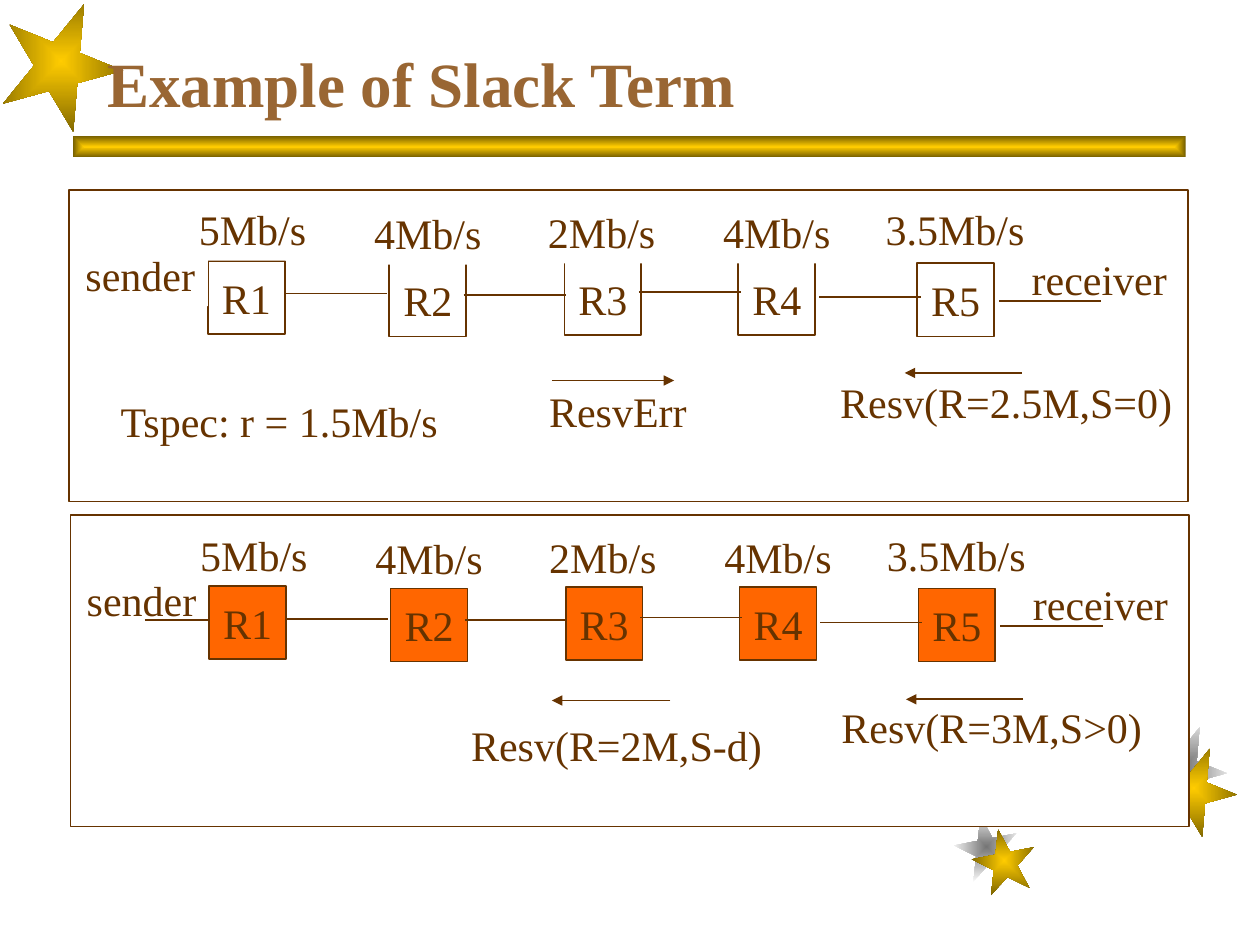
from dataclasses import dataclass
from typing import Optional

from lxml.etree import SubElement
from pptx import Presentation
from pptx.dml.color import RGBColor
from pptx.enum.shapes import MSO_CONNECTOR, MSO_SHAPE
from pptx.enum.text import MSO_ANCHOR, MSO_AUTO_SIZE, PP_ALIGN
from pptx.oxml.ns import qn
from pptx.util import Inches, Pt

FONT = "Times New Roman"
BROWN = "663300"
TITLE_BROWN = "996633"
WHITE = "FFFFFF"
ORANGE = "FF6600"
GOLD = ("FFCC00", "755E00")
SILVER = ("757575", "FFFFFF")
PANEL_SHIFT = (0.01, 2.58)


@dataclass
class Star:
    left: float
    top: float
    size: float
    rotation: float
    colors: tuple[str, str]


@dataclass
class Label:
    text: str
    left: float
    top: float
    width: float


@dataclass
class Line:
    start_x: float
    end_x: float
    y: float
    arrow: bool = False


@dataclass
class Router:
    name: str
    left: float
    top: float


@dataclass
class Panel:
    shift: tuple[float, float]
    router_fill: str
    label_fill: Optional[str]
    messages: list[Label]
    arrows: list[Line]


STARS = [
    Star(7.58, 6.47, 0.5, 349, SILVER),
    Star(9.06, 5.75, 0.67, 22, SILVER),
    Star(7.72, 6.58, 0.5, 349, GOLD),
    Star(9.14, 5.92, 0.67, 22, GOLD),
    Star(0, 0, 0.97, 22, GOLD),
]
# Positions shared by both panels, measured in the upper one
ROUTERS = [
    Router("R1", 1.65, 2.07),
    Router("R2", 3.09, 2.09),
    Router("R3", 4.48, 2.08),
    Router("R4", 5.86, 2.08),
    Router("R5", 7.28, 2.09),
]
LINKS = [
    Line(2.26, 3.07, 2.33),
    Line(3.68, 4.49, 2.34),
    Line(5.07, 5.88, 2.32),
    Line(6.5, 7.31, 2.36),
    Line(1.14, 1.66, 2.34),
]
RECEIVER_LINK = Line(7.93, 8.74, 2.39)
HOSTS = [Label("sender", 0.58, 1.93, 1.07), Label("receiver", 8.09, 1.96, 1.27)]
RATES = [
    Label("3.5Mb/s", 6.93, 1.57, 1.3),
    Label("4Mb/s", 5.64, 1.59, 1.05),
    Label("2Mb/s", 4.25, 1.59, 1.05),
    Label("4Mb/s", 2.87, 1.6, 1.05),
    Label("5Mb/s", 1.48, 1.57, 1.05),
]
PANELS = [
    Panel((0, 0), WHITE, WHITE,
          [Label("Resv(R=2.5M,S=0)", 6.57, 2.94, 2.83),
           Label("ResvErr", 4.26, 3.01, 1.29)],
          [Line(8.11, 7.18, 2.96, True), Line(4.38, 5.35, 3.02, True)]),
    Panel(PANEL_SHIFT, ORANGE, None,
          [Label("Resv(R=3M,S>0)", 6.57, 2.94, 2.58),
           Label("Resv(R=2M,S-d)", 3.63, 3.08, 2.51)],
          [Line(8.11, 7.18, 2.97, True), Line(5.31, 4.37, 2.98, True)]),
]
TSPEC = Label("Tspec: r = 1.5Mb/s", 0.86, 3.09, 2.74)


def rgb(color: str) -> RGBColor:
    return RGBColor.from_string(color)


def format_text(frame, size: float, color: str, bold: bool = False) -> None:
    font = frame.paragraphs[0].runs[0].font
    font.name, font.size, font.bold = FONT, Pt(size), bold
    font.color.rgb = rgb(color)


def add_preset(slide, preset, left: float, top: float, width: float, height: float):
    shape = slide.shapes.add_shape(
        preset, Inches(left), Inches(top), Inches(width), Inches(height))
    shape.shadow.inherit = False
    return shape


def add_glow(slide, preset, left: float, top: float, width: float, height: float,
             colors: tuple[str, str], rotation: float = 0) -> None:
    """Add an unlined shape shaded from its centre to its edges."""
    shape = add_preset(slide, preset, left, top, width, height)
    shape.rotation = rotation
    shape.line.fill.background()
    shape.fill.gradient()
    for stop, color in zip(shape.fill.gradient_stops, colors):
        stop.color.rgb = rgb(color)
    gradient = shape._element.spPr.find(qn("a:gradFill"))
    gradient.remove(gradient.find(qn("a:lin")))
    shading = SubElement(gradient, qn("a:path"), {"path": "rect"})
    SubElement(shading, qn("a:fillToRect"), dict.fromkeys("ltrb", "50000"))


def add_box(slide, left: float, top: float, width: float, height: float, fill: str):
    box = add_preset(slide, MSO_SHAPE.RECTANGLE, left, top, width, height)
    box.fill.solid()
    box.fill.fore_color.rgb = rgb(fill)
    box.line.color.rgb = rgb(BROWN)
    box.line.width = Pt(1)
    return box


def add_router(slide, router: Router, shift: tuple[float, float], fill: str) -> None:
    box = add_box(slide, router.left + shift[0], router.top + shift[1], 0.61, 0.58, fill)
    frame = box.text_frame
    frame.text = router.name
    frame.word_wrap = False
    frame.vertical_anchor = MSO_ANCHOR.MIDDLE
    frame.paragraphs[0].alignment = PP_ALIGN.CENTER
    format_text(frame, 24, BROWN)


def add_label(slide, label: Label, shift: tuple[float, float] = (0, 0),
              fill: Optional[str] = None) -> None:
    """Add a one-line label; the missing right inset leaves its text room to spare."""
    box = slide.shapes.add_textbox(
        Inches(label.left + shift[0]), Inches(label.top + shift[1]),
        Inches(label.width), Inches(0.5))
    if fill:
        box.fill.solid()
        box.fill.fore_color.rgb = rgb(fill)
    frame = box.text_frame
    frame.text = label.text
    frame.word_wrap = True
    frame.auto_size = MSO_AUTO_SIZE.NONE
    frame.margin_right = 0
    format_text(frame, 24, BROWN)


def add_line(slide, line: Line, shift: tuple[float, float]) -> None:
    y = Inches(line.y + shift[1])
    connector = slide.shapes.add_connector(
        MSO_CONNECTOR.STRAIGHT, Inches(line.start_x + shift[0]), y,
        Inches(line.end_x + shift[0]), y)
    connector.line.color.rgb = rgb(BROWN)
    connector.line.width = Pt(1)
    if line.arrow:
        SubElement(connector.line._get_or_add_ln(), qn("a:tailEnd"), {"type": "triangle"})
    SubElement(connector._element.spPr, qn("a:effectLst"))


def add_panel(slide, panel: Panel) -> None:
    """Draw links before the labels, whose fill may cover them."""
    shift = panel.shift
    add_box(slide, 0.55 + shift[0], 1.51 + shift[1], 8.88, 2.47, WHITE)
    for router in ROUTERS:
        add_router(slide, router, shift, panel.router_fill)
    for link in LINKS:
        add_line(slide, link, shift)
    for label in HOSTS + RATES + panel.messages:
        add_label(slide, label, shift, panel.label_fill)
    for line in [RECEIVER_LINK] + panel.arrows:
        add_line(slide, line, shift)


def add_title(slide) -> None:
    title = slide.shapes.title
    title.left, title.top = Inches(0.75), Inches(0.25)
    title.width, title.height = Inches(8.5), Inches(0.75)
    frame = title.text_frame
    frame.text = "Example of Slack Term"
    frame.vertical_anchor = MSO_ANCHOR.BOTTOM
    frame.auto_size = MSO_AUTO_SIZE.NONE
    frame.paragraphs[0].alignment = PP_ALIGN.LEFT
    format_text(frame, 36, TITLE_BROWN, bold=True)
    slide.shapes._spTree.append(title._element)  # in front of the star


def main() -> None:
    deck = Presentation()
    deck.slide_width, deck.slide_height = Inches(10), Inches(7.5)
    slide = deck.slides.add_slide(deck.slide_layouts[5])
    for star in STARS:
        add_glow(slide, MSO_SHAPE.STAR_5_POINT, star.left, star.top,
                 star.size, star.size, star.colors, star.rotation)
    add_glow(slide, MSO_SHAPE.RECTANGLE, 0.58, 1.08, 8.83, 0.17, GOLD)
    add_title(slide)
    for panel in PANELS:
        add_panel(slide, panel)
    add_label(slide, TSPEC)
    deck.save("out.pptx")


if __name__ == "__main__":
    main()
